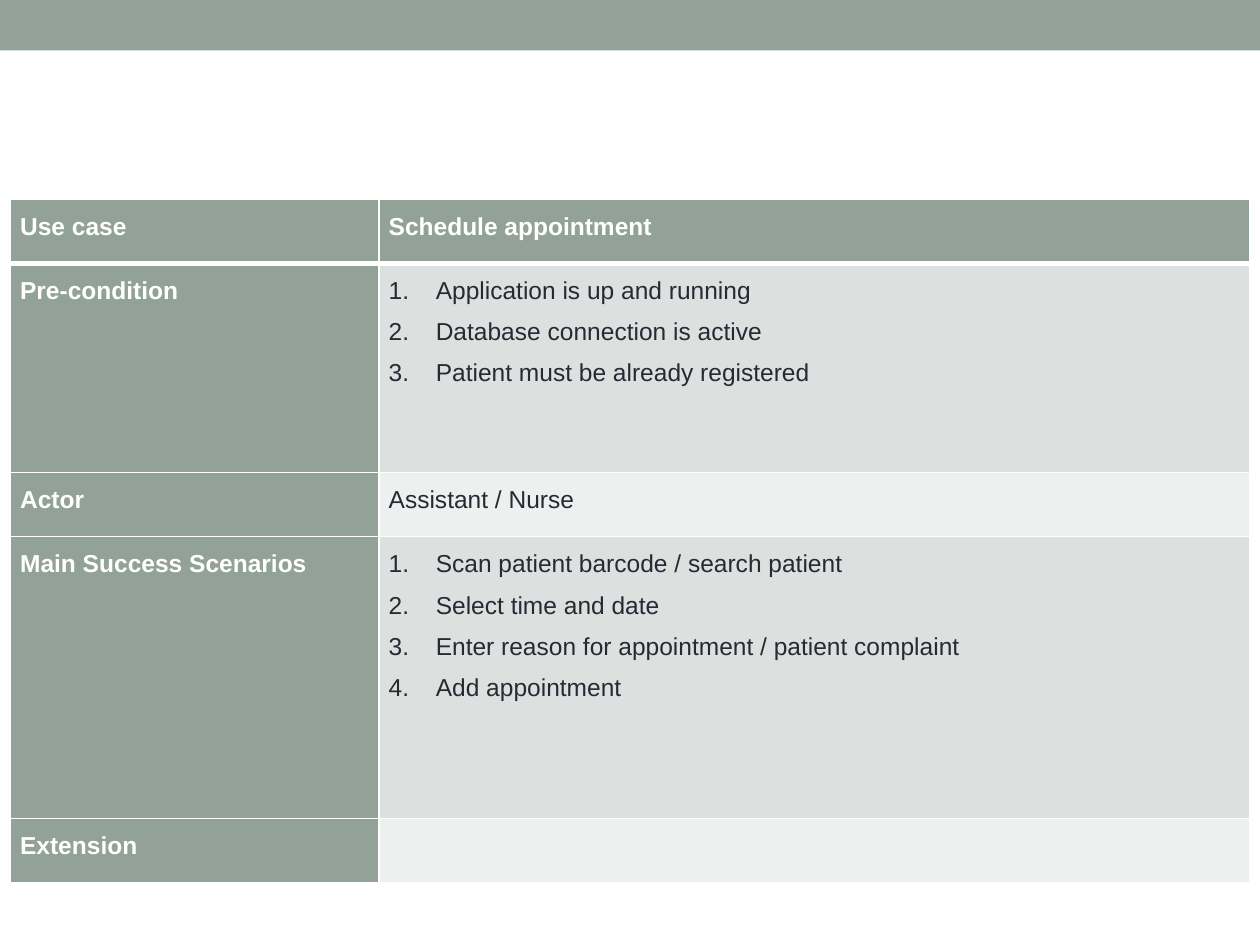
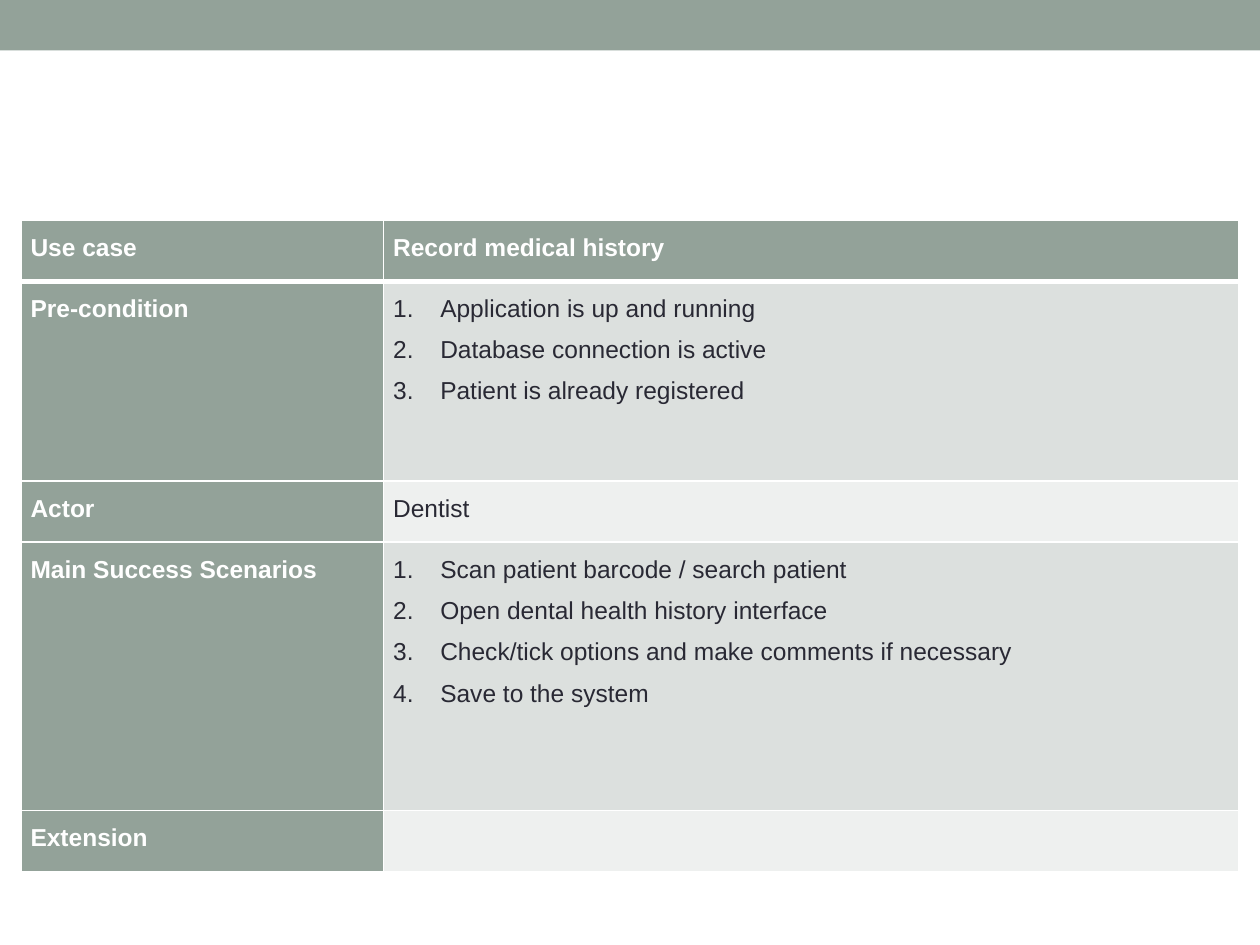
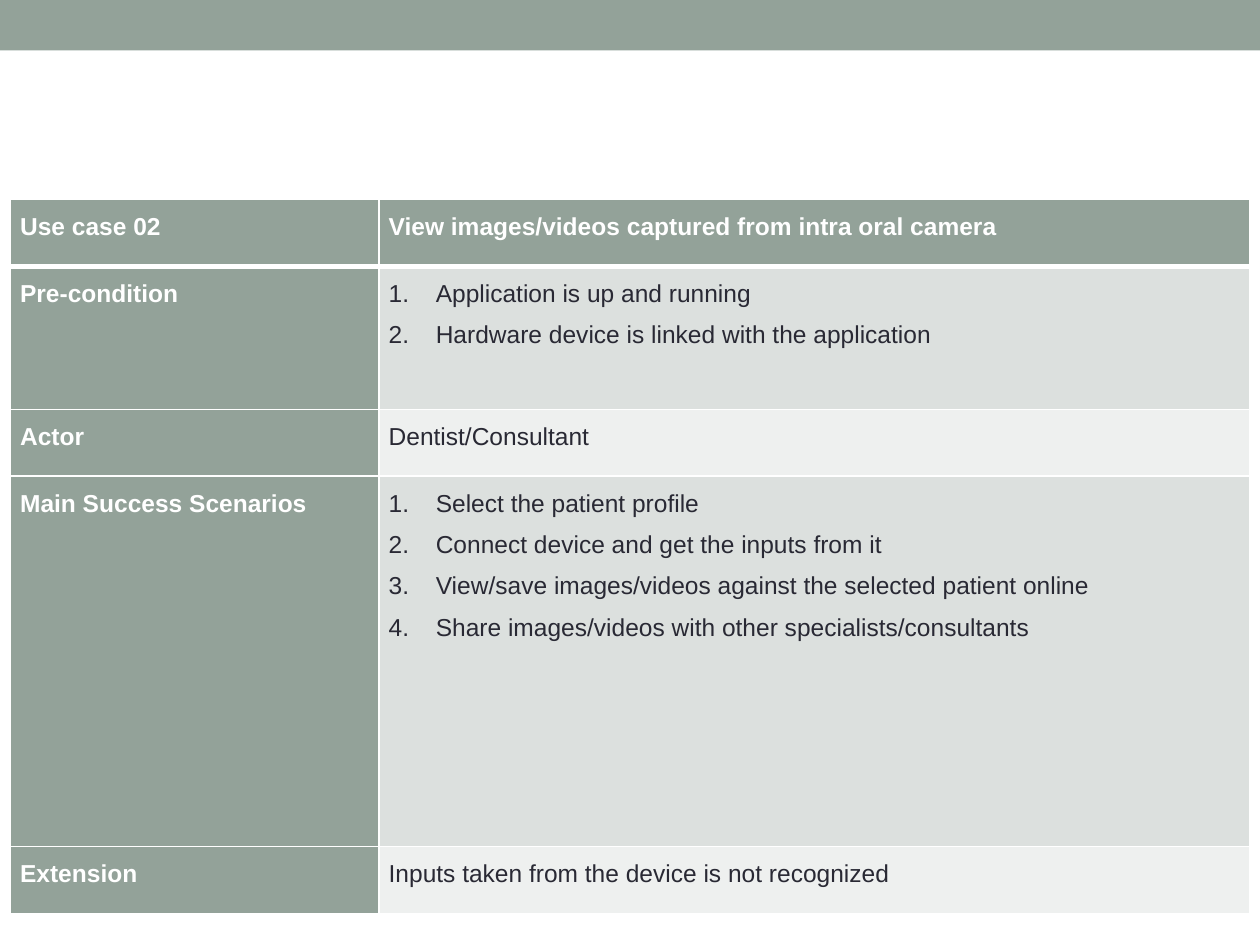
from dataclasses import dataclass

from lxml import etree
from pptx import Presentation
from pptx.dml.color import RGBColor
from pptx.enum.shapes import MSO_SHAPE
from pptx.oxml.ns import qn
from pptx.slide import Slide
from pptx.table import _Cell as Cell
from pptx.util import Cm, Pt

RECTANGLE = MSO_SHAPE.RECTANGLE
BLANK_LAYOUT = 6
SLIDE_WIDTH = Cm(25.4)
SLIDE_HEIGHT = Cm(19.05)
BAND_HEIGHT = Cm(1.02)
CELL_MARGIN = Cm(0.19)
NUMBER_INDENT = Cm(0.95)


@dataclass(frozen=True)
class Theme:
    accent: RGBColor = RGBColor(0x93, 0xA2, 0x99)
    dark_row: RGBColor = RGBColor(0xDC, 0xE0, 0xDE)
    light_row: RGBColor = RGBColor(0xEE, 0xF0, 0xEF)
    text: RGBColor = RGBColor(0x29, 0x29, 0x34)
    white: RGBColor = RGBColor(0xFF, 0xFF, 0xFF)
    font: str = "Arial"
    size: Pt = Pt(14)
    line_spacing: float = 1.5
    border: Pt = Pt(1)
    header_border: Pt = Pt(3)


THEME = Theme()


@dataclass(frozen=True)
class TableFrame:
    top: Cm
    label_width: Cm
    content_width: Cm
    line_height: Cm  # header, actor and extension rows
    precondition_height: Cm
    scenario_height: Cm


@dataclass(frozen=True)
class UseCase:
    frame: TableFrame
    label: str
    name: str
    preconditions: list[str]
    actor: str
    scenarios: list[str]
    extension: str = ""


USE_CASES = [
    UseCase(
        TableFrame(Cm(4.02), Cm(7.43), Cm(17.54), Cm(1.29), Cm(4.22), Cm(5.68)),
        "Use case",
        "Schedule appointment",
        [
            "Application is up and running",
            "Database connection is active",
            "Patient must be already registered",
        ],
        "Assistant / Nurse",
        [
            "Scan patient barcode / search patient",
            "Select time and date",
            "Enter reason for appointment / patient complaint",
            "Add appointment",
        ],
    ),
    UseCase(
        TableFrame(Cm(4.44), Cm(7.31), Cm(17.24), Cm(1.23), Cm(4.03), Cm(5.41)),
        "Use case",
        "Record medical history",
        [
            "Application is up and running",
            "Database connection is active",
            "Patient is already registered",
        ],
        "Dentist",
        [
            "Scan patient barcode / search patient",
            "Open dental health history interface",
            "Check/tick options and make comments if necessary",
            "Save to the system",
        ],
    ),
    UseCase(
        TableFrame(Cm(4.02), Cm(7.43), Cm(17.54), Cm(1.35), Cm(2.88), Cm(7.46)),
        "Use case 02",
        "View images/videos captured from intra oral camera",
        [
            "Application is up and running",
            "Hardware device is linked with the application",
        ],
        "Dentist/Consultant",
        [
            "Select the patient profile",
            "Connect device and get the inputs from it",
            "View/save images/videos against the selected patient online",
            "Share images/videos with other specialists/consultants",
        ],
        "Inputs taken from the device is not recognized",
    ),
]


def add_top_band(slide: Slide) -> None:
    band = slide.shapes.add_shape(RECTANGLE, 0, 0, SLIDE_WIDTH, BAND_HEIGHT)
    band.shadow.inherit = False
    band.fill.solid()
    band.fill.fore_color.rgb = THEME.accent
    band.line.fill.background()


def set_borders(cell: Cell, top: Pt, bottom: Pt) -> None:
    sides = {"lnL": THEME.border, "lnR": THEME.border, "lnT": top, "lnB": bottom}
    properties = cell._tc.get_or_add_tcPr()
    for position, (tag, width) in enumerate(sides.items()):
        line = etree.Element(qn(f"a:{tag}"), w=str(int(width)))
        fill = etree.SubElement(line, qn("a:solidFill"))
        etree.SubElement(fill, qn("a:srgbClr"), val=str(THEME.white))
        properties.insert(position, line)


def write_cell(cell: Cell, lines: list[str], color: RGBColor, bold: bool, numbered: bool) -> None:
    for index, text in enumerate(lines):
        frame = cell.text_frame
        paragraph = frame.add_paragraph() if index else frame.paragraphs[0]
        paragraph.text = text
        paragraph.line_spacing = THEME.line_spacing
        if numbered:
            properties = paragraph._p.get_or_add_pPr()
            properties.set("marL", str(int(NUMBER_INDENT)))
            properties.set("indent", str(-int(NUMBER_INDENT)))
            etree.SubElement(properties, qn("a:buFont"), typeface="+mj-lt")
            etree.SubElement(properties, qn("a:buAutoNum"), type="arabicPeriod")
        paragraph.font.name = THEME.font
        paragraph.font.size = THEME.size
        paragraph.font.bold = bold
        paragraph.font.color.rgb = color


def add_use_case_table(slide: Slide, use_case: UseCase) -> None:
    frame = use_case.frame
    rows = [
        (frame.line_height, use_case.label, [use_case.name]),
        (frame.precondition_height, "Pre-condition", use_case.preconditions),
        (frame.line_height, "Actor", [use_case.actor]),
        (frame.scenario_height, "Main Success Scenarios", use_case.scenarios),
        (frame.line_height, "Extension", [use_case.extension] if use_case.extension else []),
    ]
    width = frame.label_width + frame.content_width
    height = sum(row_height for row_height, _, _ in rows)
    left = (SLIDE_WIDTH - width) // 2
    table = slide.shapes.add_table(len(rows), 2, left, frame.top, width, height).table
    table.first_col = True
    table.horz_banding = False
    table.columns[0].width = frame.label_width
    table.columns[1].width = frame.content_width

    for row, (row_height, label, lines) in enumerate(rows):
        table.rows[row].height = row_height
        top = THEME.header_border if row == 1 else THEME.border
        bottom = THEME.header_border if row == 0 else THEME.border
        for column, content in enumerate(([label], lines)):
            cell = table.cell(row, column)
            cell.margin_left = cell.margin_right = CELL_MARGIN
            cell.margin_top = cell.margin_bottom = 0
            heading = row == 0 or column == 0
            body_fill = THEME.dark_row if row % 2 else THEME.light_row
            cell.fill.solid()
            cell.fill.fore_color.rgb = THEME.accent if heading else body_fill
            set_borders(cell, top, bottom)
            color = THEME.white if heading else THEME.text
            write_cell(cell, content, color, heading, numbered=len(content) > 1)


def main() -> None:
    presentation = Presentation()
    presentation.slide_width = SLIDE_WIDTH
    presentation.slide_height = SLIDE_HEIGHT
    layout = presentation.slide_layouts[BLANK_LAYOUT]

    # One slide per use case: band on top, table below
    for use_case in USE_CASES:
        slide = presentation.slides.add_slide(layout)
        add_top_band(slide)
        add_use_case_table(slide, use_case)

    presentation.save("out.pptx")


if __name__ == "__main__":
    main()
